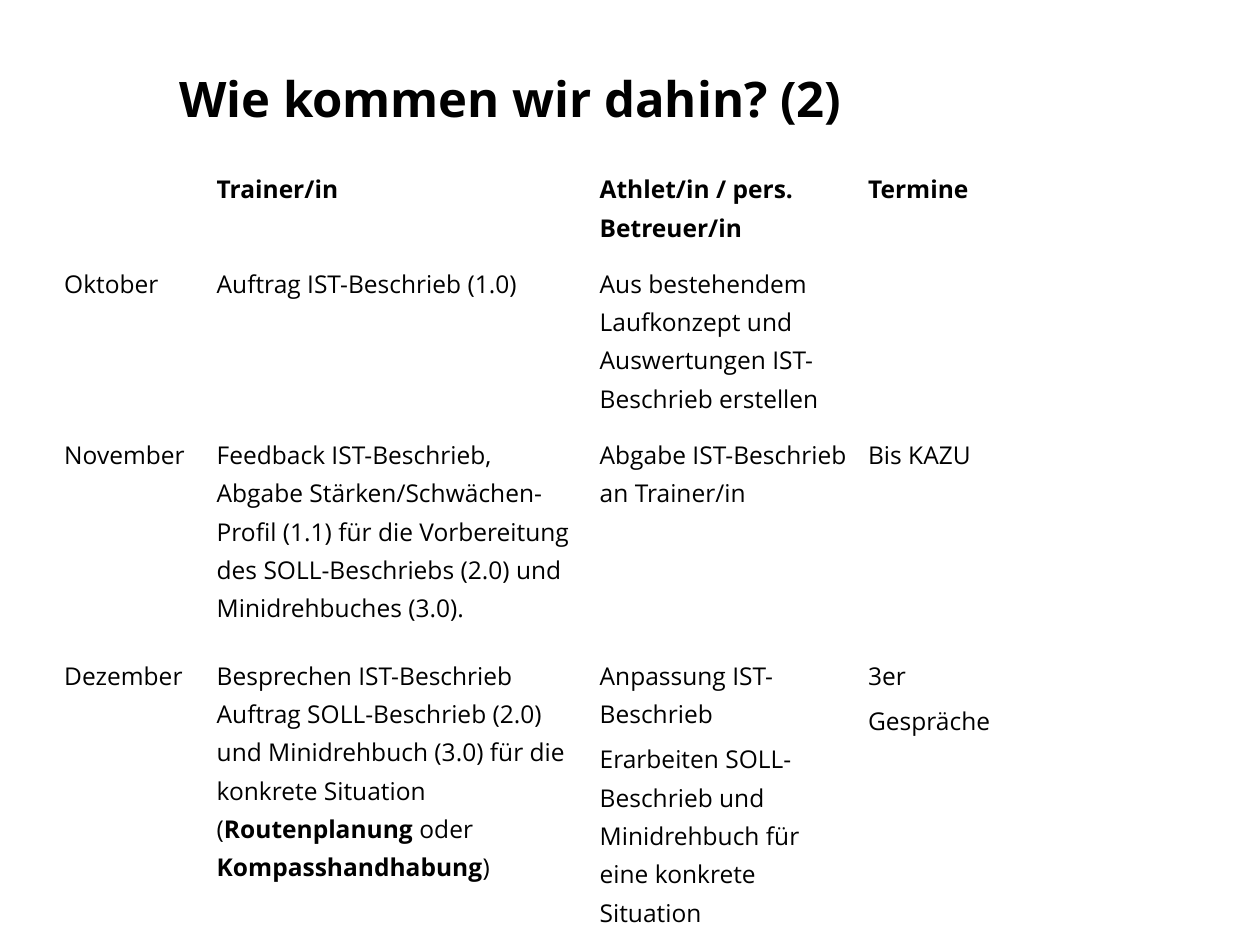
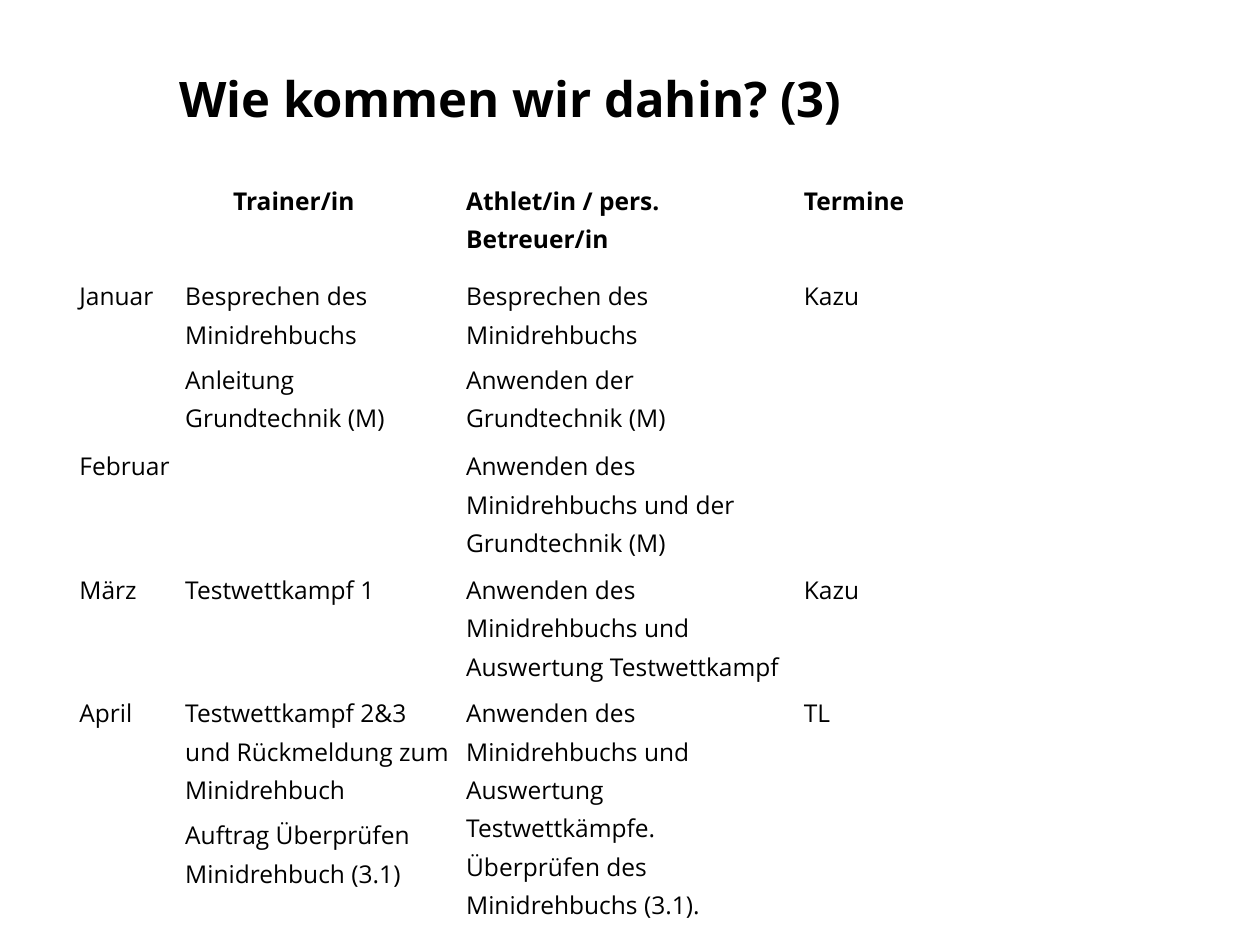
from pptx import Presentation
from pptx.dml.color import RGBColor
from pptx.enum import text
from pptx.util import Inches, Pt

BLACK = RGBColor(0x00, 0x00, 0x00)
FONT = "Open Sans"
TITLE_BOX = (0.35, 0.31, 7.4, 0.93)
SPANNED = None

AUTUMN = {
    "title": "Wie kommen wir dahin? (2)",
    "box": (0.44, 1.26, 9.06, 6.29),
    "margin": 0.07,
    "columns": [1.21, 3.04, 2.13, 2.68],
    "heights": [0.75, 1.36, 1.75, 2.43],
    "rows": [
        ["", "Trainer/in", "Athlet/in / pers. Betreuer/in", "Termine"],
        ["Oktober", "Auftrag IST-Beschrieb (1.0)",
         "Aus bestehendem Laufkonzept und Auswertungen IST-Beschrieb erstellen", ""],
        ["November",
         "Feedback IST-Beschrieb, Abgabe Stärken/Schwächen-Profil (1.1) für die "
         "Vorbereitung des SOLL-Beschriebs (2.0) und Minidrehbuches (3.0).",
         "Abgabe IST-Beschrieb an Trainer/in", "Bis KAZU"],
        ["Dezember",
         "Besprechen IST-Beschrieb Auftrag SOLL-Beschrieb (2.0) und Minidrehbuch (3.0) "
         "für die konkrete Situation (**Routenplanung** oder **Kompasshandhabung**)",
         "Anpassung IST-Beschrieb\n"
         "Erarbeiten SOLL-Beschrieb und Minidrehbuch für eine konkrete Situation",
         "3er\nGespräche"],
    ],
}

SPRING = {
    "title": "Wie kommen wir dahin? (3)",
    "box": (0.59, 1.38, 7.09, 6.04),
    "margin": 0.04,
    "columns": [0.84, 0.38, 1.85, 2.68, 1.1, 0.24],
    "heights": [0.76, 1.35, 0.98, 0.98, 1.97],
    "rows": [
        ["", SPANNED, "Trainer/in", "Athlet/in / pers. Betreuer/in", "Termine", ""],
        ["Januar", "Besprechen des Minidrehbuchs\nAnleitung Grundtechnik (M)", SPANNED,
         "Besprechen des Minidrehbuchs\nAnwenden der Grundtechnik (M)", "Kazu", ""],
        ["Februar", "", SPANNED,
         "Anwenden des Minidrehbuchs und der Grundtechnik (M)", "", ""],
        ["März", "Testwettkampf 1", SPANNED,
         "Anwenden des Minidrehbuchs und Auswertung Testwettkampf", "Kazu", ""],
        ["April",
         "Testwettkampf 2&3 und Rückmeldung zum Minidrehbuch\n"
         "Auftrag Überprüfen Minidrehbuch (3.1)", SPANNED,
         "Anwenden des Minidrehbuchs und Auswertung Testwettkämpfe. "
         "Überprüfen des Minidrehbuchs (3.1).", "TL", ""],
    ],
}


def add_span(para, words, size, bold):
    span = para.add_run()
    span.text = words
    span.font.name = FONT
    span.font.size = Pt(size)
    span.font.bold = bold
    span.font.color.rgb = BLACK


def add_title(page, box, words):
    frame = page.shapes.add_textbox(*map(Inches, box)).text_frame
    frame.word_wrap = True
    frame.vertical_anchor = text.MSO_ANCHOR.MIDDLE
    para = frame.paragraphs[0]
    para.alignment = text.PP_ALIGN.CENTER
    add_span(para, words, 28, True)


def fill_cell(cell, words, margin, header):
    cell.margin_left = cell.margin_right = Inches(margin)
    cell.margin_top = cell.margin_bottom = Inches(margin)
    if not words:
        return
    frame = cell.text_frame
    for index, line in enumerate(words.split("\n")):
        para = frame.add_paragraph() if index else frame.paragraphs[0]
        para.line_spacing = 1.15
        para.space_before = Pt(0 if header else 2)
        para.space_after = Pt(6 if header else 2)
        for part, piece in enumerate(line.split("**")):
            add_span(para, piece, 14, header or part % 2 == 1)


def add_schedule(page, plan):
    rows, columns = plan["rows"], plan["columns"]
    table = page.shapes.add_table(len(rows), len(columns), *map(Inches, plan["box"])).table
    table.first_row = False
    table.horz_banding = False
    for column, width in zip(table.columns, columns):
        column.width = Inches(width)
    for row, height in zip(table.rows, plan["heights"]):
        row.height = Inches(height)
    for r, entries in enumerate(rows):
        for c, words in enumerate(entries):
            cell = table.cell(r, c)
            cell.fill.background()
            if words is SPANNED:
                table.cell(r, c - 1).merge(cell)
            else:
                fill_cell(cell, words, plan["margin"], r == 0)


def add_plan_page(deck, plan):
    page = deck.slides.add_slide(deck.slide_layouts[6])
    add_title(page, TITLE_BOX, plan["title"])
    add_schedule(page, plan)


def main():
    deck = Presentation()
    deck.slide_width = Inches(10)
    deck.slide_height = Inches(7.5)
    for plan in (AUTUMN, SPRING):
        add_plan_page(deck, plan)
    deck.save("out.pptx")


if __name__ == "__main__":
    main()
